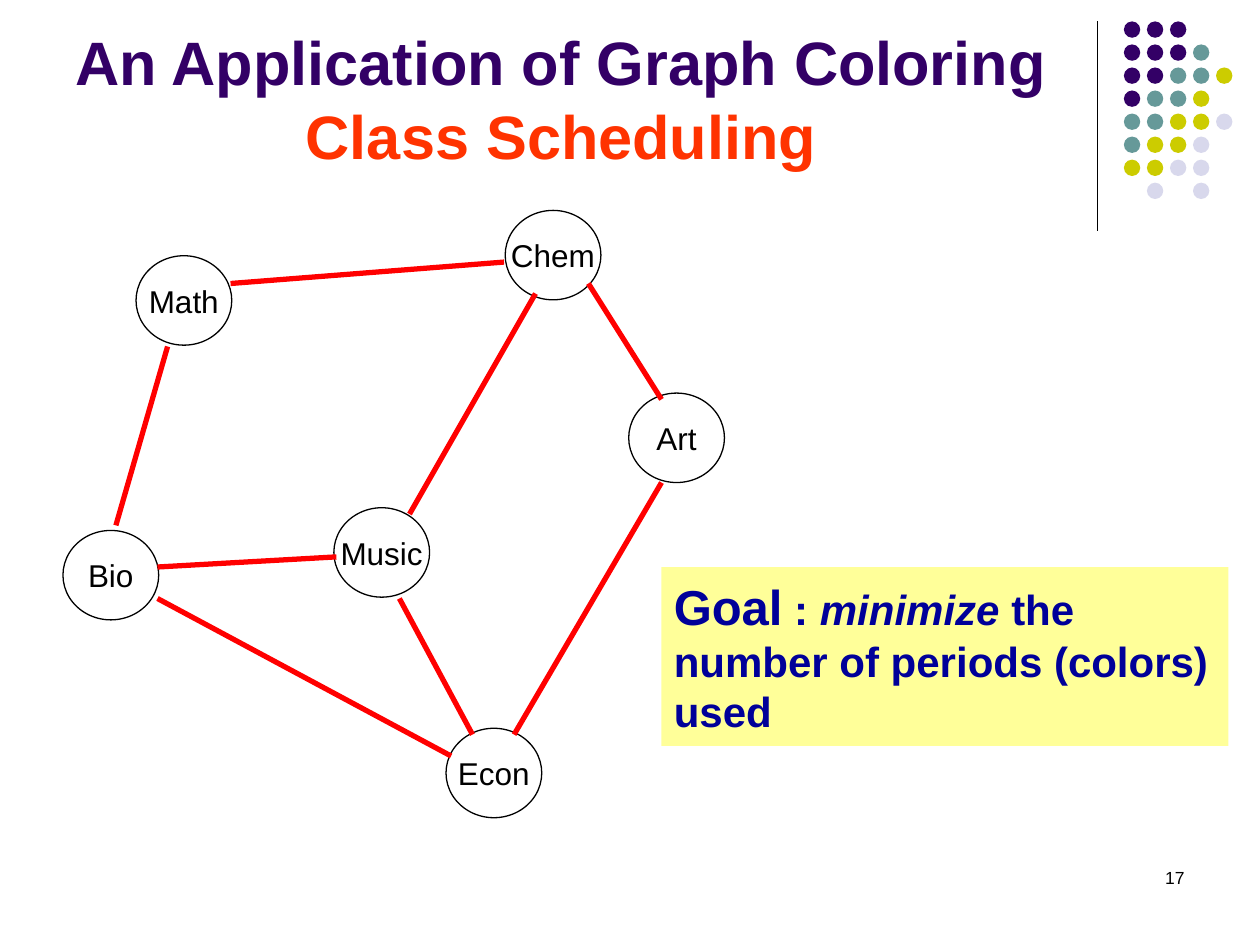
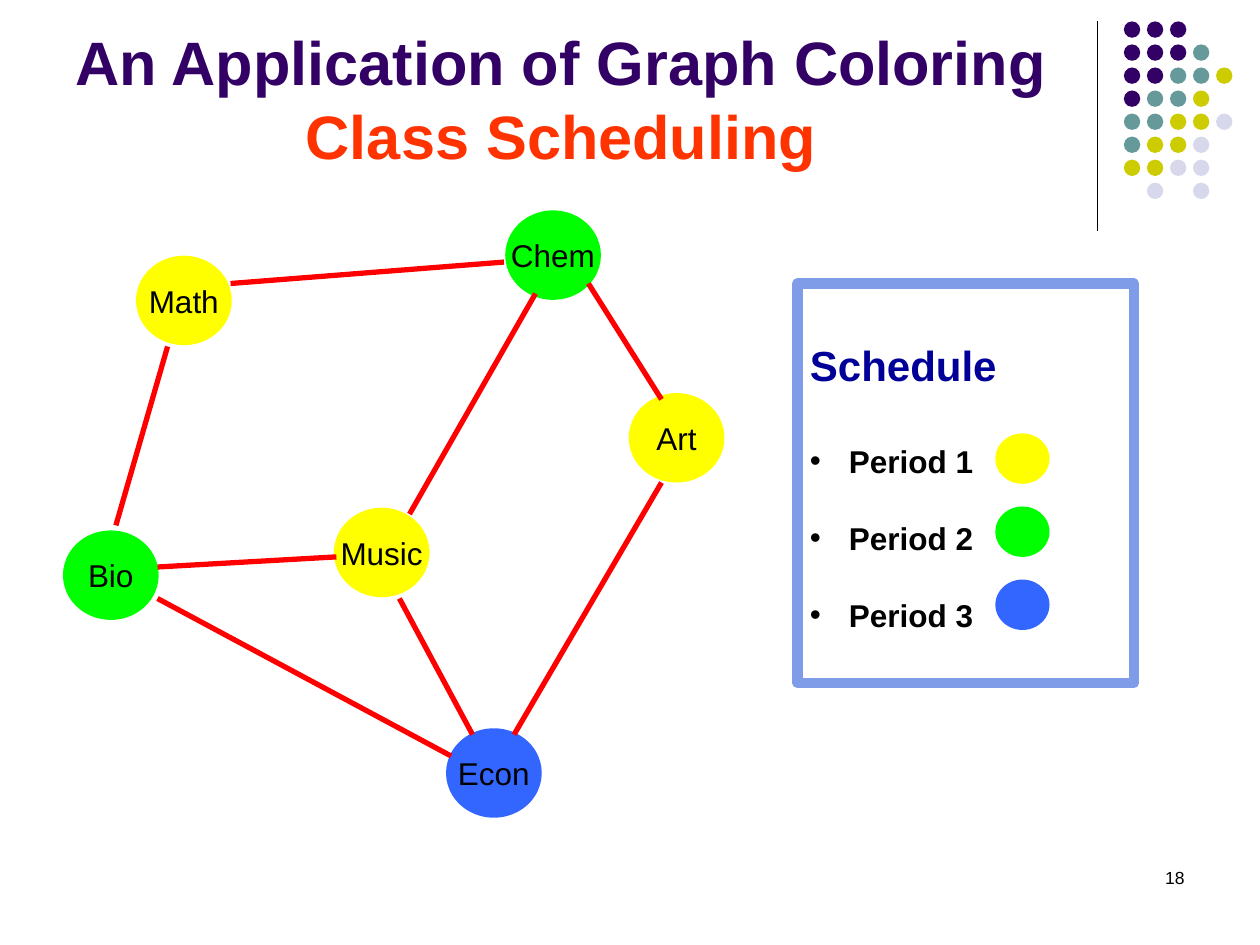
from dataclasses import dataclass

from lxml import etree
from pptx import Presentation
from pptx.dml.color import RGBColor
from pptx.enum.shapes import MSO_CONNECTOR, MSO_SHAPE
from pptx.enum.text import MSO_ANCHOR, MSO_AUTO_SIZE, PP_ALIGN
from pptx.oxml.ns import qn
from pptx.util import Inches, Pt

ELLIPSE, RECT = MSO_SHAPE.OVAL, MSO_SHAPE.RECTANGLE
STRAIGHT = MSO_CONNECTOR.STRAIGHT
LEFT, CENTER, RIGHT = PP_ALIGN.LEFT, PP_ALIGN.CENTER, PP_ALIGN.RIGHT
MIDDLE, BOTTOM = MSO_ANCHOR.MIDDLE, MSO_ANCHOR.BOTTOM
NO_FIT = MSO_AUTO_SIZE.NONE

FONT = "Arial"
BLACK = RGBColor(0x00, 0x00, 0x00)
PURPLE = RGBColor(0x33, 0x00, 0x66)
TEAL = RGBColor(0x66, 0x99, 0x99)
OLIVE = RGBColor(0xCC, 0xCC, 0x00)
LAVENDER = RGBColor(0xD8, 0xD8, 0xEC)
ORANGE = RGBColor(0xFF, 0x33, 0x00)
NAVY = RGBColor(0x00, 0x00, 0x99)
CREAM = RGBColor(0xFF, 0xFF, 0x99)
FRAME = RGBColor(0x7E, 0x9C, 0xE8)
RED = RGBColor(0xFF, 0x00, 0x00)
YELLOW = RGBColor(0xFF, 0xFF, 0x00)
GREEN = RGBColor(0x00, 0xFF, 0x00)
BLUE = RGBColor(0x33, 0x66, 0xFF)

DOT_COLORS = {"P": PURPLE, "T": TEAL, "O": OLIVE, "L": LAVENDER}
DOT_ROWS = ("PPP", "PPPT", "PPTTO", "PTTO", "TTOOL", "TOOL", "OOLL", ".L.L")
DOT_SIZE, DOT_PITCH = 0.13, 1.28 / 7
NODE_W, NODE_H = 0.76, 0.71
PERIOD_COLORS = (YELLOW, GREEN, BLUE)


@dataclass(frozen=True)
class Course:
    name: str
    x: float
    y: float
    period: int


@dataclass(frozen=True)
class Edge:
    x1: float
    y1: float
    x2: float
    y2: float


COURSES = (
    Course("Math", 1.08, 2.03, 1),
    Course("Bio", 0.5, 4.21, 2),
    Course("Chem", 4.01, 1.67, 2),
    Course("Art", 4.99, 3.12, 1),
    Course("Music", 2.65, 4.03, 1),
    Course("Econ", 3.54, 5.78, 3),
)
CONFLICTS = (
    Edge(1.33, 2.75, 0.92, 4.17),
    Edge(4, 2.08, 1.83, 2.25),
    Edge(3.75, 5.83, 3.17, 4.75),
    Edge(4.08, 5.83, 5.25, 3.83),
    Edge(5.25, 3.17, 4.67, 2.25),
    Edge(3.58, 6, 1.25, 4.75),
    Edge(4.25, 2.33, 3.25, 4.08),
    Edge(2.67, 4.42, 1.25, 4.5),
)


def add_text(p, text: str, *, size: float, color: RGBColor = BLACK,
             bold: bool = False, italic: bool = False, align=LEFT) -> None:
    p.alignment = align
    r = p.add_run()
    r.text = text
    r.font.name, r.font.size = FONT, Pt(size)
    r.font.bold, r.font.italic = bold, italic
    r.font.color.rgb = color


def add_bullet(p, indent: float) -> None:
    pPr = p._p.get_or_add_pPr()
    pPr.set("marL", str(Inches(indent)))
    pPr.set("indent", str(-Inches(indent)))
    bu_clr = etree.SubElement(pPr, qn("a:buClr"))
    etree.SubElement(bu_clr, qn("a:srgbClr")).set("val", str(BLACK))
    etree.SubElement(pPr, qn("a:buFont")).set("typeface", FONT)
    etree.SubElement(pPr, qn("a:buChar")).set("char", "•")


def add_box(s, kind, x: float, y: float, w: float, h: float, *,
            fill: RGBColor | None = None, line: RGBColor | None = None,
            line_width: float = 0.75):
    sp = s.shapes.add_shape(kind, Inches(x), Inches(y), Inches(w), Inches(h))
    sp.shadow.inherit = False
    if fill is None:
        sp.fill.background()
    else:
        sp.fill.solid()
        sp.fill.fore_color.rgb = fill
    if line is None:
        sp.line.fill.background()
    else:
        sp.line.color.rgb = line
        sp.line.width = Pt(line_width)
    sp.text_frame.word_wrap = False
    sp.text_frame.vertical_anchor = MIDDLE
    return sp


def add_line(s, edge: Edge, color: RGBColor, width: float) -> None:
    line = s.shapes.add_connector(STRAIGHT, Inches(edge.x1), Inches(edge.y1),
                                  Inches(edge.x2), Inches(edge.y2))
    line.line.color.rgb = color
    line.line.width = Pt(width)
    etree.SubElement(line._element.spPr, qn("a:effectLst"))


def add_title(s) -> None:
    title = s.shapes.title
    title.left, title.top = Inches(0.33), Inches(0.33)
    title.width, title.height = Inches(8.25), Inches(1.08)
    tf = title.text_frame
    tf.auto_size, tf.vertical_anchor, tf.word_wrap = NO_FIT, BOTTOM, True
    p = tf.paragraphs[0]
    add_text(p, "An Application of Graph Coloring", size=35, color=PURPLE,
             bold=True, align=CENTER)
    p.add_line_break()
    add_text(p, "Class Scheduling", size=35, color=ORANGE, bold=True,
             align=CENTER)


def add_page_number(s, number: int) -> None:
    tf = s.shapes.add_textbox(Inches(7.17), Inches(6.83), Inches(2.33),
                              Inches(0.5)).text_frame
    tf.word_wrap = True
    add_text(tf.paragraphs[0], str(number), size=10, align=RIGHT)


def add_dots(s) -> None:
    for row, codes in enumerate(DOT_ROWS):
        for col, code in enumerate(codes):
            if code in DOT_COLORS:
                add_box(s, ELLIPSE, 8.92 + col * DOT_PITCH,
                        0.17 + row * DOT_PITCH, DOT_SIZE, DOT_SIZE,
                        fill=DOT_COLORS[code])


def add_graph(s, colored: bool) -> None:
    for course in COURSES:
        fill = PERIOD_COLORS[course.period - 1] if colored else None
        node = add_box(s, ELLIPSE, course.x, course.y, NODE_W, NODE_H,
                       fill=fill, line=None if colored else BLACK)
        add_text(node.text_frame.paragraphs[0], course.name, size=18,
                 align=CENTER)
    for edge in CONFLICTS:
        add_line(s, edge, RED, 3)


def add_graph_slide(prs, number: int, colored: bool):
    s = prs.slides.add_slide(prs.slide_layouts[5])
    add_line(s, Edge(8.71, 0.17, 8.71, 1.83), BLACK, 0.75)
    add_dots(s)
    add_title(s)
    add_graph(s, colored)
    add_page_number(s, number)
    return s


def add_goal(s) -> None:
    tf = add_box(s, RECT, 5.25, 4.5, 4.5, 1.42, fill=CREAM).text_frame
    p = tf.paragraphs[0]
    add_text(p, "Goal", size=28, color=NAVY, bold=True)
    add_text(p, " : ", size=24, color=NAVY, bold=True)
    add_text(p, "minimize", size=24, color=NAVY, bold=True, italic=True)
    add_text(p, " the", size=24, color=NAVY, bold=True)
    for text in ("number of periods (colors)", "used"):
        add_text(tf.add_paragraph(), text, size=24, color=NAVY, bold=True)


def add_schedule(s) -> None:
    tf = add_box(s, RECT, 6.33, 2.25, 2.67, 3.17, line=FRAME,
                 line_width=6).text_frame
    tf.margin_top = Inches(0.1)
    add_text(tf.paragraphs[0], "Schedule", size=24, color=NAVY, bold=True)
    for i, color in enumerate(PERIOD_COLORS):
        p = tf.add_paragraph()
        p.space_before = Pt(22.4 if i else 30)
        add_bullet(p, 0.31)
        add_text(p, f"Period {i + 1}", size=18, bold=True)
        add_box(s, ELLIPSE, 7.9, 3.44 + 0.58 * i, 0.43, 0.4, fill=color)


def main() -> None:
    prs = Presentation()
    prs.slide_width, prs.slide_height = Inches(10), Inches(7.5)
    add_goal(add_graph_slide(prs, 17, colored=False))
    add_schedule(add_graph_slide(prs, 18, colored=True))
    prs.save("out.pptx")


if __name__ == "__main__":
    main()
